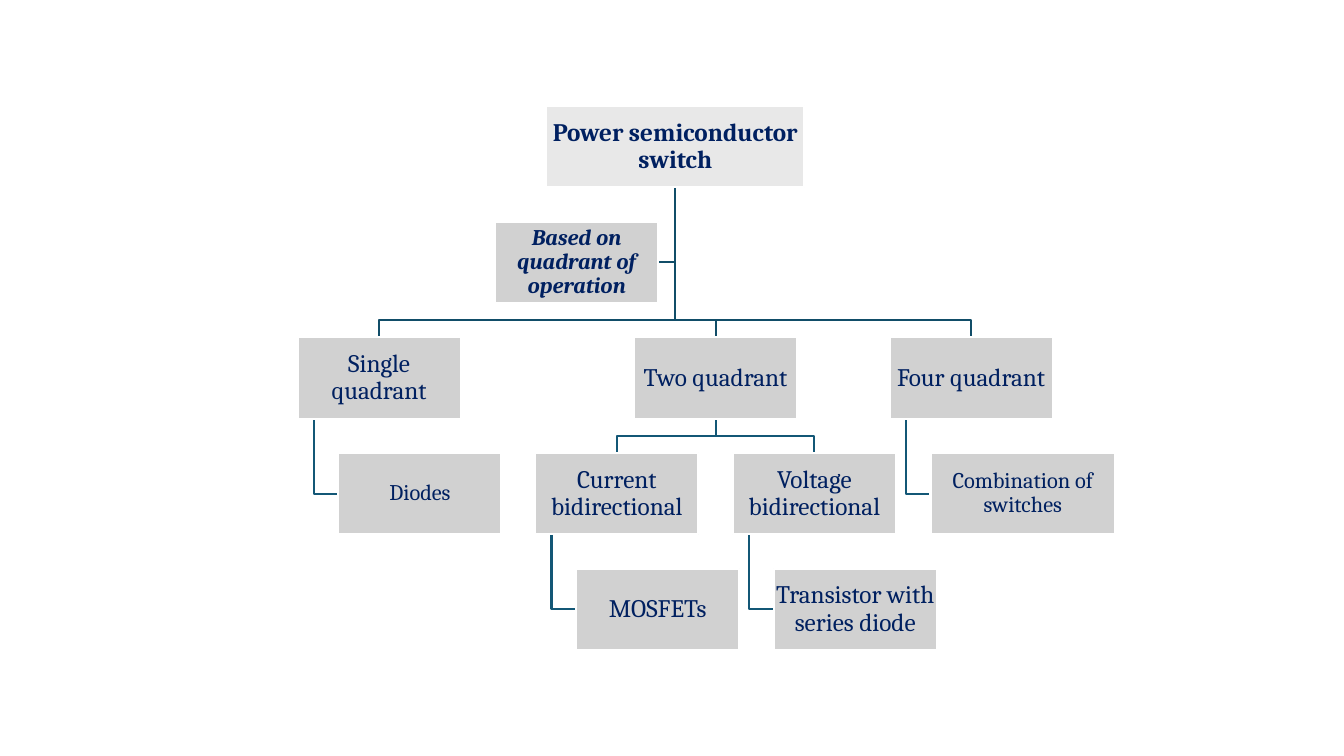
from dataclasses import dataclass

from pptx import Presentation
from pptx.dml.color import RGBColor
from pptx.enum.shapes import MSO_SHAPE as Shape
from pptx.enum.text import MSO_ANCHOR as Anchor, PP_ALIGN as Align
from pptx.util import Cm, Pt


@dataclass(frozen=True)
class Theme:
    font: str = "Cambria"
    ink: str = "002060"
    root_fill: str = "E8E8E8"
    fill: str = "D1D1D1"
    border: str = "FFFFFF"
    upper_link: str = "114D68"
    lower_link: str = "135776"
    large: int = 18
    small: int = 16
    line: float = 1.5


THEME = Theme()

# Lengths in centimetres
FIRST_ROW, ROW_STEP = 2.67, 2.915
BOX_WIDTH, BOX_HEIGHT = 4.11, 2.05
BRANCH_GAP = 0.43    # from a branch line down to the box below it
STEM_INSET = 0.41    # from a box's left edge to the stem under it
HANG_INDENT = 1.03   # from a box's left edge to that of the box hanging under it


@dataclass
class Node:
    text: str
    left: float
    row: int
    width: float = BOX_WIDTH
    size: int = THEME.large
    fill: str = THEME.fill
    bold: bool = False
    italic: bool = False

    @property
    def top(self):
        return FIRST_ROW + self.row * ROW_STEP

    @property
    def bottom(self):
        return self.top + BOX_HEIGHT

    @property
    def center(self):
        return self.left + self.width / 2

    @property
    def middle(self):
        return self.top + BOX_HEIGHT / 2

    def hang(self, text, **style):
        """Return a node indented one row under this one."""
        return Node(text, self.left + HANG_INDENT, self.row + 1, **style)


class Chart:
    """Draws the parts of an organisation chart on one page."""

    def __init__(self, page, theme):
        self.page = page
        self.theme = theme

    def box(self, node):
        box = self.page.shapes.add_shape(
            Shape.RECTANGLE, Cm(node.left), Cm(node.top), Cm(node.width), Cm(BOX_HEIGHT))
        box.shadow.inherit = False
        box.fill.solid()
        box.fill.fore_color.rgb = RGBColor.from_string(node.fill)
        self.outline(box, self.theme.border)
        frame = box.text_frame
        frame.word_wrap = True
        frame.vertical_anchor = Anchor.MIDDLE
        frame.margin_left = frame.margin_right = Cm(0.03)
        frame.margin_top = frame.margin_bottom = Cm(0.03)
        frame.text = node.text
        para = frame.paragraphs[0]
        para.alignment = Align.CENTER
        para.line_spacing = 0.9
        font = para.runs[0].font
        font.name = self.theme.font
        font.size = Pt(node.size)
        font.bold, font.italic = node.bold, node.italic
        font.color.rgb = RGBColor.from_string(self.theme.ink)

    def outline(self, shape, color):
        shape.line.color.rgb = RGBColor.from_string(color)
        shape.line.width = Pt(self.theme.line)

    def polyline(self, points, color):
        start, *others = [(Cm(x), Cm(y)) for x, y in points]
        builder = self.page.shapes.build_freeform(*start)
        builder.add_line_segments(others, close=False)
        link = builder.convert_to_shape()
        link.shadow.inherit = False
        link.fill.background()
        self.outline(link, color)

    def branch(self, parent, child, color):
        """Link a parent to a child below through a horizontal line."""
        level = child.top - BRANCH_GAP
        self.polyline([(parent.center, parent.bottom), (parent.center, level),
                       (child.center, level), (child.center, child.top)], color)

    def elbow(self, stem, parent, end, child, color):
        """Link a parent to the side of a child with a single bend."""
        self.polyline([(stem, parent.bottom), (stem, child.middle),
                       (end, child.middle)], color)


def main():
    deck = Presentation()
    deck.slide_width, deck.slide_height = Cm(33.87), Cm(19.05)
    blank_layout = deck.slide_layouts[6]
    chart = Chart(deck.slides.add_slide(blank_layout), THEME)

    root = Node("Power semiconductor switch", 13.77, 0, width=6.5,
                fill=THEME.root_fill, bold=True)
    basis = Node("Based on quadrant of operation", 12.48, 1, size=THEME.small,
                 bold=True, italic=True)
    single = Node("Single quadrant", 7.5, 2)
    two = Node("Two quadrant", 15.98, 2)
    four = Node("Four quadrant", 22.42, 2)
    current = Node("Current bidirectional", 13.49, 3)
    voltage = Node("Voltage bidirectional", 18.47, 3)
    hanging = [
        (single, single.hang("Diodes", size=THEME.small)),
        (current, current.hang("MOSFETs")),
        (voltage, voltage.hang("Transistor with series diode")),
        (four, four.hang("Combination of switches", width=4.65, size=THEME.small)),
    ]

    chart.elbow(root.center, root, basis.left + basis.width, basis, THEME.upper_link)
    for child in (single, two, four):
        chart.branch(root, child, THEME.upper_link)
    for child in (current, voltage):
        chart.branch(two, child, THEME.lower_link)
    for parent, child in hanging:
        chart.elbow(parent.left + STEM_INSET, parent, child.left, child, THEME.lower_link)

    leaves = [child for _, child in hanging]
    for node in (root, basis, single, two, four, current, voltage, *leaves):
        chart.box(node)

    deck.save("out.pptx")


if __name__ == "__main__":
    main()
